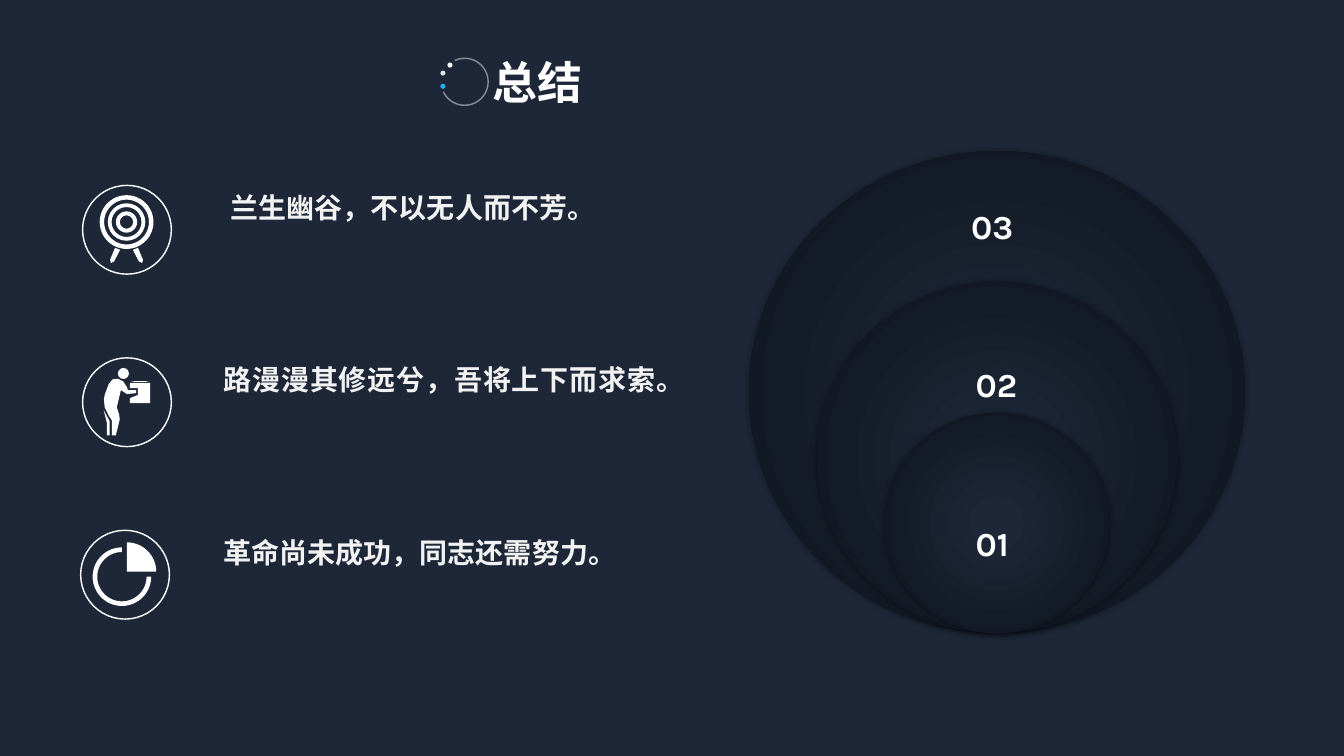
from math import cos, sin, radians
from lxml import etree
from pptx import Presentation
from pptx.dml.color import RGBColor
from pptx.enum.shapes import MSO_SHAPE as Kind
from pptx.enum.text import MSO_ANCHOR as Anchor, MSO_AUTO_SIZE as Auto, PP_ALIGN as Align
from pptx.oxml import parse_xml
from pptx.oxml.ns import qn
from pptx.util import Pt

NS = 'xmlns:a="http://schemas.openxmlformats.org/drawingml/2006/main"'
GLOW = f'''<a:effectLst {NS}><a:outerShdw blurRad="{Pt(5)}" dist="0" dir="0" algn="ctr">
<a:srgbClr val="000000"><a:alpha val="40000"/></a:srgbClr></a:outerShdw></a:effectLst>'''
BACK, WHITE, PALE = "1D2737", "FFFFFF", "F2F2F2"
ICON = 63.4


def hue(code):
    return RGBColor.from_string(code)


def paint(shape, fill=None, line=None):
    shape.shadow.inherit = False
    if fill:
        shape.fill.solid()
        shape.fill.fore_color.rgb = hue(fill)
    else:
        shape.fill.background()
    if line:
        shape.line.color.rgb = hue(line)
        shape.line.width = Pt(1)
    else:
        shape.line.fill.background()
    return shape


def add(slide, kind, x, y, w, h, fill=None, line=None):
    shape = slide.shapes.add_shape(kind, Pt(x), Pt(y), Pt(w), Pt(h))
    return paint(shape, fill, line)


def trace(slide, x, y, dots):
    spots = [(Pt(x + a), Pt(y + b)) for a, b in dots]
    pen = slide.shapes.build_freeform(*spots[0], scale=1.0)
    pen.add_line_segments(spots[1:], close=True)
    return paint(pen.convert_to_shape(), WHITE)


def arc(x, y, r, start, end):
    step = 5 if end > start else -5
    return [(x + r * cos(radians(d)), y + r * sin(radians(d)))
            for d in range(start, end + step, step)]


def write(box, words, size, color, align):
    frame = box.text_frame
    frame.text = words
    frame.word_wrap = True
    frame.auto_size = Auto.SHAPE_TO_FIT_TEXT
    frame.vertical_anchor = Anchor.TOP
    para = frame.paragraphs[0]
    para.alignment = align
    font = para.font
    font.name, font.size, font.bold = "Karla", Pt(size), True
    font.color.rgb = hue(color)


def label(slide, x, y, w, h, words, size, color, align):
    box = slide.shapes.add_textbox(Pt(x), Pt(y), Pt(w), Pt(h))
    write(box, words, size, color, align)


def header(slide, x, y):
    ring = add(slide, Kind.BLOCK_ARC, x, y + 5.8, 34.6, 34.6, WHITE)
    for i, value in enumerate((147.09, 92.83, 0.03)):
        ring.adjustments[i] = value
    tint = ring.fill._xPr.find(qn("a:solidFill"))[0]
    etree.SubElement(tint, qn("a:alpha")).set("val", "47000")
    for dx, dy, color in ((0, 24.5, "25B2EB"), (0, 15.1, "DFE0E4"), (5, 9.4, WHITE)):
        add(slide, Kind.OVAL, x + dx, y + dy, 3.6, 3.6, color)
    title = slide.shapes.title
    title.left, title.top = Pt(x + 30.3), Pt(y)
    title.width, title.height = Pt(300.2), Pt(46)
    write(title, "总结", 32, WHITE, Align.JUSTIFY)


def target(slide, x, y):
    mid, top = 31.4, 26.2
    for r, band in ((19.2, 3.2), (13.4, 2.7), (7.6, 2.8)):
        ring = add(slide, Kind.DONUT, x + mid - r, y + top - r, 2 * r, 2 * r, WHITE)
        ring.adjustments[0] = band / (2 * r)
    leg = [(11.8, 53.3), (11.1, 55.4), (8.9, 54.4), (4.6, 46.1), (8.2, 44.6)]
    for side in (1, -1):
        trace(slide, x, y, [(mid + side * a, b) for a, b in leg])


def worker(slide, x, y):
    lid = [(48.2, 17.3), (33.8, 17.3), (37.4, 16.6), (44.6, 16.6)]
    crate = [(33.8, 18), (48.2, 18), (48.2, 32.4), (33.8, 32.4),
             (33.8, 28.8), (39.6, 26.6), (39.6, 21.6), (33.8, 21.6)]
    leg = [(19.4, 45.4), (19.4, 55.4), (17.3, 55.4), (17.3, 46.1), (15.1, 37.4)]
    body = [(31.7, 25.9), (27.4, 23), (24.5, 35.3), (26.1, 40.5), (26.6, 43.9),
            (23.8, 55.4), (20.9, 55.4), (20.9, 44.6), (18.9, 41.6), (15.8, 35.3),
            (15.3, 29.6), (15.8, 26.6), (18.7, 18.7), (21.4, 15.4), (25.2, 14.9),
            (29.1, 16.9), (31.7, 20.9), (32.4, 23), (38.2, 23), (38.2, 25.2)]
    for dots in (lid, crate, leg, body):
        trace(slide, x, y, dots)
    add(slide, Kind.OVAL, x + 25.2, y + 7.2, 7.9, 7.9, WHITE)


def pie(slide, x, y):
    trace(slide, x, y, [(33.1, 29.5)] + arc(33.1, 29.5, 20.9, 270, 360))
    trace(slide, x, y, arc(29.5, 33.1, 20.9, 0, 270) + arc(29.5, 33.1, 17.6, 270, 0))


def row(slide, x, y, gap, draw, words):
    draw(slide, x, y)
    add(slide, Kind.OVAL, x, y, ICON, ICON, line=WHITE)
    label(slide, x + gap, y, 323.3, 31.7, words, 20, PALE, Align.JUSTIFY)


def rings(slide, x, y, w, h):
    for i in range(3):
        dx, dy = 96.5 * i, 93.6 * i
        disc = add(slide, Kind.OVAL, x + dx / 2, y + dy, w - dx, h - dy)
        disc.fill.gradient()
        stops = disc.fill.gradient_stops
        for stop, spot, color in zip(stops, (0.11, 1), (BACK, "0D131B")):
            stop.position = spot
            stop.color.rgb = hue(color)
        grad = disc.fill._xPr.find(qn("a:gradFill"))
        grad.replace(grad.find(qn("a:lin")), parse_xml(
            f'<a:path {NS} path="circle"><a:fillToRect l="50000" t="50000" '
            'r="50000" b="50000"/></a:path>'))
        props = disc._element.spPr
        props.replace(props.find(qn("a:effectLst")), parse_xml(GLOW))
    for i, words in enumerate(("03 ", "02", "01 ")):
        label(slide, x + w / 2 - 59.7, y + 35.3 + 113.4 * i, 118.8, 36,
              words, 24, WHITE, Align.CENTER)


def main():
    deck = Presentation()
    deck.slide_width, deck.slide_height = Pt(960), Pt(540)
    slide = deck.slides.add_slide(deck.slide_layouts[5])
    slide.background.fill.solid()
    slide.background.fill.fore_color.rgb = hue(BACK)
    rings(slide, 535, 108, 354.2, 344.2)
    lines = ((59, 98.7, target, "兰生幽谷，不以无人而不芳。"),
             (59, 93.6, worker, "路漫漫其修远兮，吾将上下而求索。"),
             (57.6, 95, pie, "革命尚未成功，同志还需努力。"))
    for i, (x, gap, draw, words) in enumerate(lines):
        row(slide, x, 132.4 + 123.2 * i, gap, draw, words)
    header(slide, 314.6, 35.3)
    deck.save("out.pptx")


if __name__ == "__main__":
    main()
